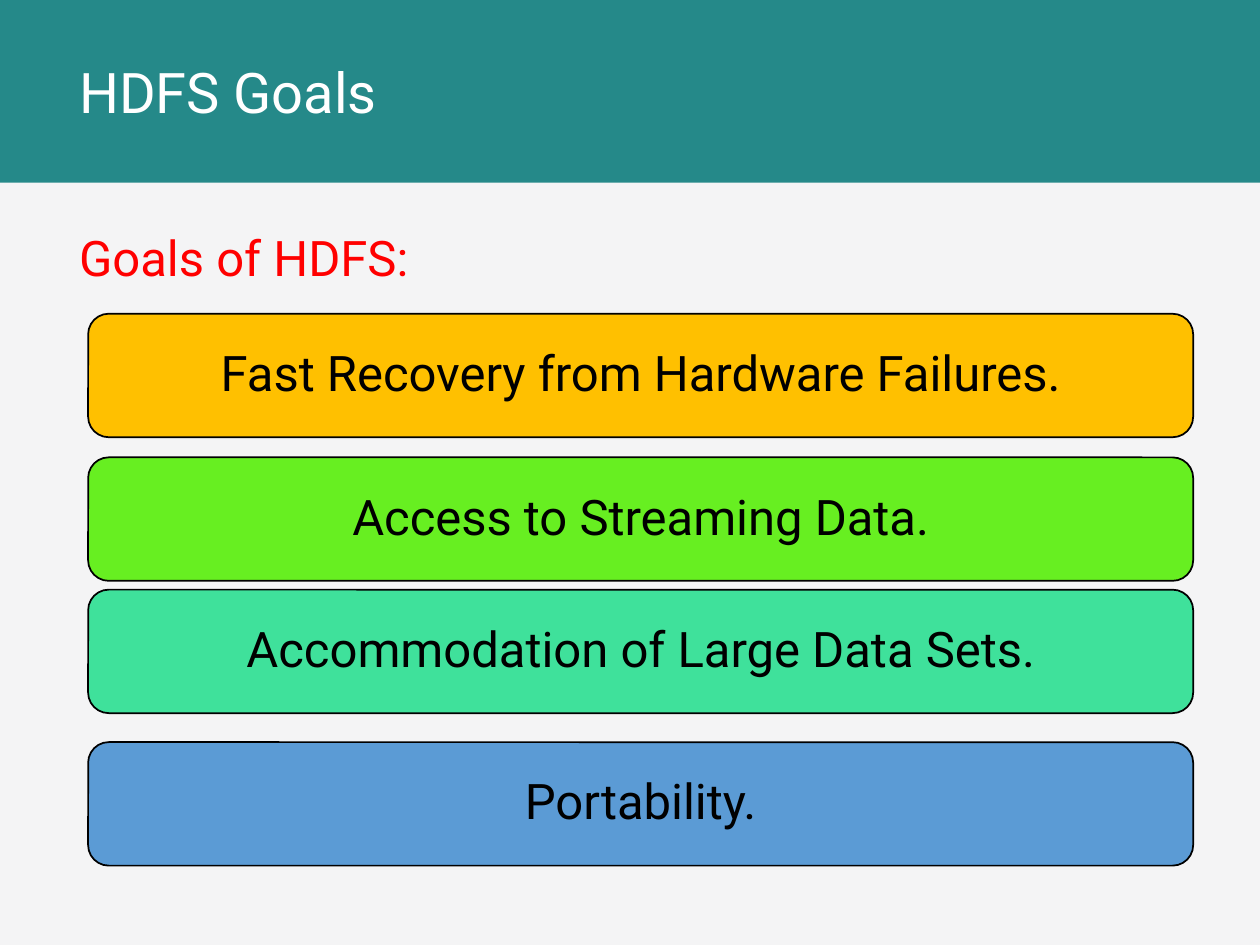
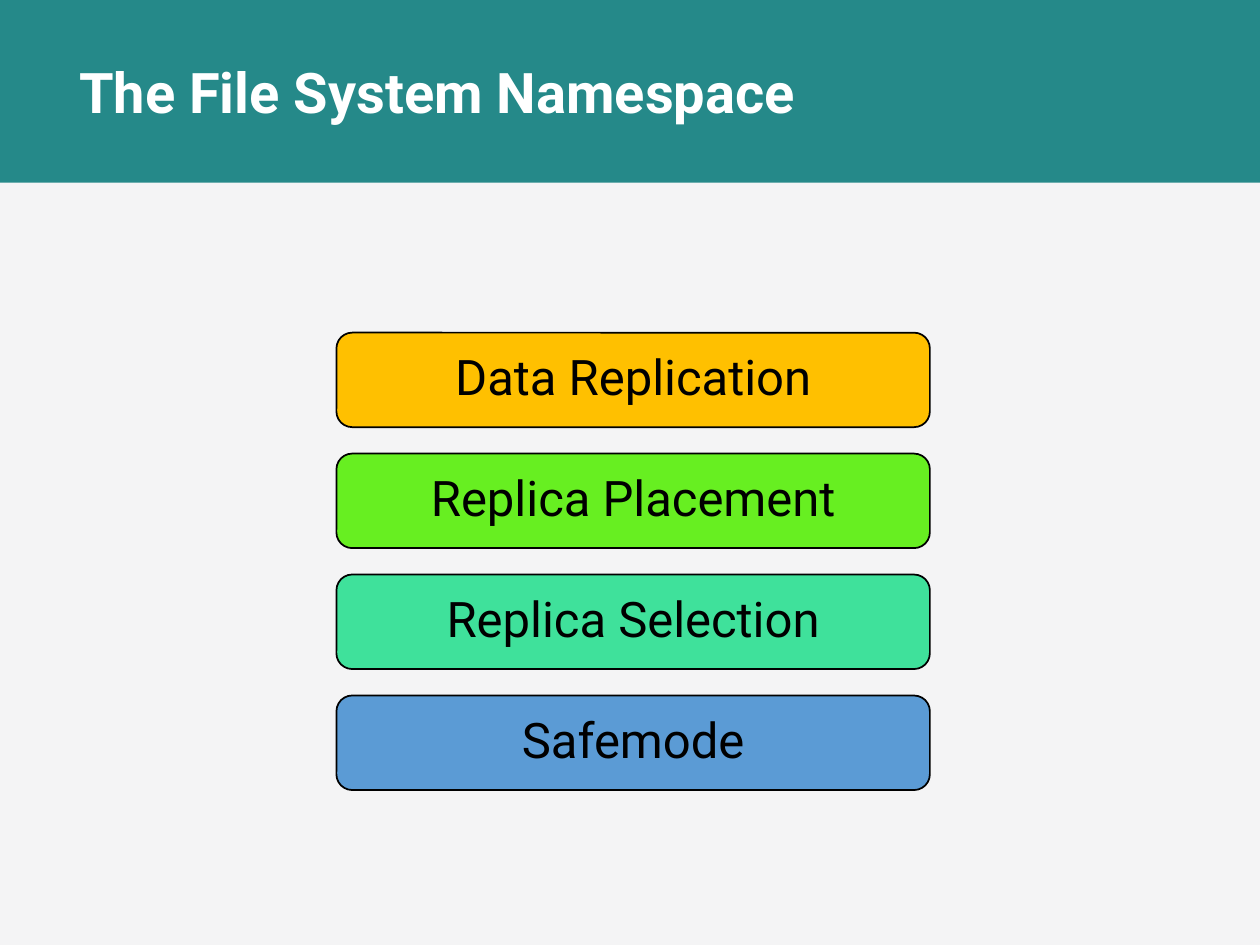
from pptx import Presentation
from pptx.dml.color import RGBColor
from pptx.enum.shapes import MSO_SHAPE
from pptx.enum.text import MSO_ANCHOR, PP_ALIGN
from pptx.util import Inches, Pt

FONT = "Roboto"
COLORS = {
    "background": "F4F4F5",
    "band": "258989",
    "title": "FFFFFF",
    "heading": "FF0000",
    "text": "000000",
    "amber": "FFC000",
    "green": "67EF21",
    "mint": "3FE19B",
    "blue": "5B9BD5",
}
CARD_FILLS = ("amber", "green", "mint", "blue")
TEXT_LEFT = 0.53


def color(name):
    """Return the named colour of the palette."""
    return RGBColor.from_string(COLORS[name])


def write_line(paragraph, text, size, color_name, bold=False):
    """Add one styled run to a paragraph."""
    run = paragraph.add_run()
    run.text = text
    run.font.name = FONT
    run.font.size = Pt(size)
    run.font.bold = bold
    run.font.color.rgb = color(color_name)


def add_filled_shape(slide, kind, left, top, width, height, fill):
    """Add a flat preset shape without an outline."""
    shape = slide.shapes.add_shape(
        kind, Inches(left), Inches(top), Inches(width), Inches(height))
    shape.shadow.inherit = False
    shape.fill.solid()
    shape.fill.fore_color.rgb = color(fill)
    shape.line.fill.background()
    return shape


def add_text(slide, top, width, height, text, size, color_name, bold=False):
    """Add a wrapped text box at the common left edge."""
    box = slide.shapes.add_textbox(
        Inches(TEXT_LEFT), Inches(top), Inches(width), Inches(height))
    box.text_frame.word_wrap = True
    write_line(box.text_frame.paragraphs[0], text, size, color_name, bold)
    return box


def add_titled_slide(presentation, title, bold=False):
    """Add a blank slide with the background, the band and its title."""
    slide = presentation.slides.add_slide(presentation.slide_layouts[6])
    slide.background.fill.solid()
    slide.background.fill.fore_color.rgb = color("background")
    add_filled_shape(slide, MSO_SHAPE.RECTANGLE, 0, 0, 10, 1.45, "band")
    box = add_text(slide, 0, 9.47, 1.45, title, 32, "title", bold)
    box.text_frame.vertical_anchor = MSO_ANCHOR.MIDDLE
    return slide


def add_heading(slide, text):
    """Add the red heading below the band."""
    box = add_text(slide, 1.52, 8.98, 0.9, text, 28, "heading")
    box.text_frame.paragraphs[0].line_spacing = 1.5


def add_card(slide, left, top, width, height, text, fill):
    """Add an outlined rounded card with a centred label."""
    card = add_filled_shape(
        slide, MSO_SHAPE.ROUNDED_RECTANGLE, left, top, width, height, fill)
    card.line.color.rgb = color("text")
    card.line.width = Pt(1)
    frame = card.text_frame
    frame.word_wrap = True
    frame.vertical_anchor = MSO_ANCHOR.MIDDLE
    paragraph = frame.paragraphs[0]
    paragraph.alignment = PP_ALIGN.CENTER
    paragraph.line_spacing = 0.9
    write_line(paragraph, text, 28, "text")


def add_cards(slide, left, tops, width, height, labels):
    """Stack one card per label in the order of the card colours."""
    for top, label, fill in zip(tops, labels, CARD_FILLS):
        add_card(slide, left, top, width, height, label, fill)


def main():
    """Build and save both slides."""
    presentation = Presentation()
    presentation.slide_width = Inches(10)
    presentation.slide_height = Inches(7.5)

    goals = add_titled_slide(presentation, "HDFS Goals")
    add_heading(goals, "Goals of HDFS:")
    add_cards(goals, 0.7, (2.49, 3.63, 4.68, 5.89), 8.77, 0.98, (
        "Fast Recovery from Hardware Failures.",
        "Access to Streaming Data.",
        "Accommodation of Large Data Sets.",
        "Portability.",
    ))

    namespace = add_titled_slide(
        presentation, "The File System Namespace", bold=True)
    topics = ("Data Replication", "Replica Placement",
              "Replica Selection", "Safemode")
    tops = [2.64 + 0.96 * row for row in range(len(topics))]
    add_cards(namespace, 2.67, tops, 4.71, 0.75, topics)

    presentation.save("out.pptx")


if __name__ == "__main__":
    main()
